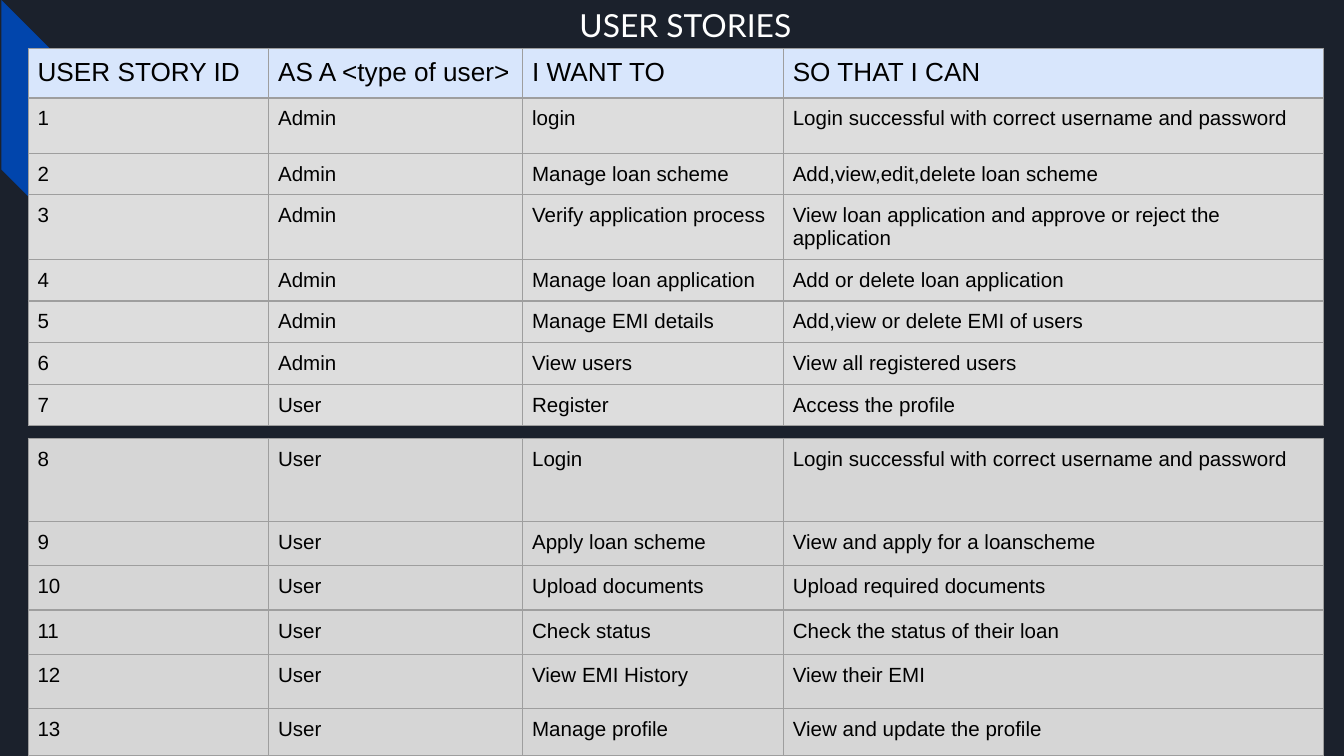
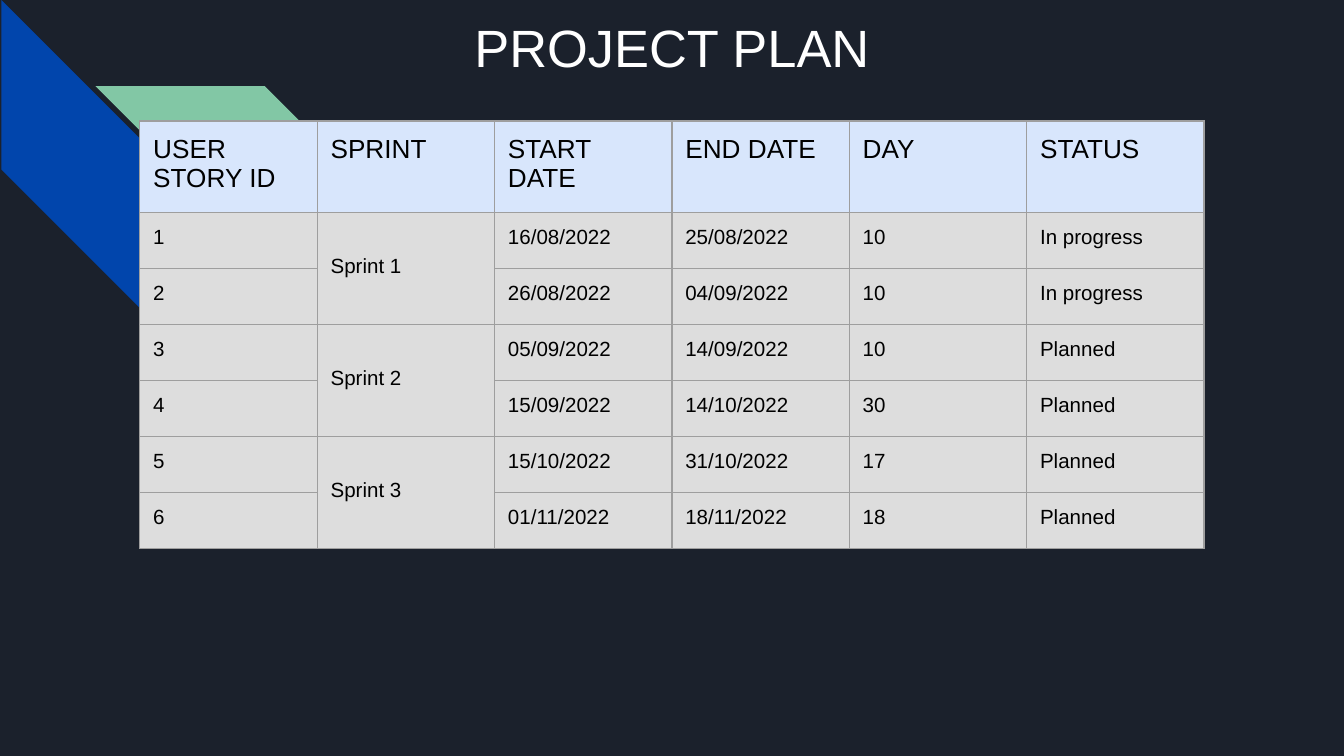
from pptx import Presentation
from pptx.dml.color import RGBColor as RGB
from pptx.enum.shapes import MSO_SHAPE as Kind
from pptx.enum.text import MSO_ANCHOR as Anchor, MSO_AUTO_SIZE as Fit, PP_ALIGN as Align
from pptx.oxml import parse_xml
from pptx.oxml.ns import nsdecls
from pptx.util import Inches, Pt

hues = {
    "night": "1B212C", "blue": "0145AC", "green": "82C7A5", "white": "FFFFFF",
    "black": "000000", "head": "D8E6FC", "light": "DDDDDD", "grey": "D6D6D6", "edge": "9E9E9E",
}


def add_title(slide, text, box, font, size, anchor):
    title = slide.shapes.title
    title.left, title.top, title.width, title.height = [Inches(v) for v in box]
    frame = title.text_frame
    frame.text = text
    frame.word_wrap = True
    frame.auto_size = Fit.NONE
    frame.vertical_anchor = anchor
    frame.margin_left = frame.margin_right = Inches(0.1)
    frame.margin_top = frame.margin_bottom = Inches(0.1)
    para = frame.paragraphs[0]
    para.alignment = Align.CENTER
    para.line_spacing = 0.8
    para.font.name = font
    para.font.size = Pt(size)
    para.font.color.rgb = RGB.from_string(hues["white"])
    return para


def add_grid(slide, left, top, cols, tall, rows, tone, pad, head):
    frame = slide.shapes.add_table(
        len(rows), len(cols), Inches(left), Inches(top), Inches(sum(cols)), Inches(sum(tall)))
    grid = frame.table
    grid.first_row = head
    grid.horz_banding = False
    for col, width in zip(grid.columns, cols):
        col.width = Inches(width)
    for r, (row, height) in enumerate(zip(rows, tall)):
        grid.rows[r].height = Inches(height)
        top_row = head and r == 0
        for c, text in enumerate(row):
            cell = grid.cell(r, c)
            cell.text = text
            cell.margin_left = cell.margin_right = Inches(pad)
            cell.margin_top = cell.margin_bottom = Inches(pad)
            props = cell._tc.get_or_add_tcPr()
            for side in ("lnL", "lnR", "lnT", "lnB"):
                props.append(parse_xml(
                    f'<a:{side} {nsdecls("a")} w="{Pt(0.75)}"><a:solidFill>'
                    f'<a:srgbClr val="{hues["edge"]}"/></a:solidFill></a:{side}>'))
            cell.fill.solid()
            cell.fill.fore_color.rgb = RGB.from_string(hues["head" if top_row else tone])
            font = cell.text_frame.paragraphs[0].font
            font.name = "Arial"
            font.size = Pt(14 if top_row else 11)
            font.bold = False
            font.color.rgb = RGB.from_string(hues["black"])
    return grid


deck = Presentation()
deck.slide_width = Inches(10)
deck.slide_height = Inches(10) * 9 // 16
master = deck.slide_master
master.background.fill.solid()
master.background.fill.fore_color.rgb = RGB.from_string(hues["night"])
layout = deck.slide_layouts[5]
tales = deck.slides.add_slide(layout)
plan = deck.slides.add_slide(layout)

for spot, (left, top, hue) in enumerate([(0.01, 0, "blue"), (0.71, 0.64, "green")]):
    stripe = tales.shapes.add_shape(
        Kind.DIAGONAL_STRIPE, Inches(left), Inches(top), Inches(2.52), Inches(2.52))
    stripe.shadow.inherit = False
    stripe.fill.solid()
    stripe.fill.fore_color.rgb = RGB.from_string(hues[hue])
    stripe.line.fill.background()
    if hue == "blue":
        stripe.rotation = 270
    else:
        stripe._element.spPr.xfrm.set("flipH", "1")
    master.shapes._spTree.insert(2 + spot, stripe._element)

para = add_title(tales, "USER STORIES", (0.38, 0, 9.32, 0.43), "Lato", 17, Anchor.TOP)
props = para._p.get_or_add_pPr()
props.set("marL", str(Inches(0.5)))
props.set("indent", str(Inches(-0.38)))

cols = [1.79, 1.89, 1.94, 4.02]
first = [
    ("USER STORY ID", "AS A <type of user>", "I WANT TO", "SO THAT I CAN"),
    ("1", "Admin", "login", "Login successful with correct username and password"),
    ("2", "Admin", "Manage loan scheme", "Add,view,edit,delete loan scheme"),
    ("3", "Admin", "Verify application process",
     "View loan application and approve or reject the application"),
    ("4", "Admin", "Manage loan application", "Add or delete loan application"),
    ("5", "Admin", "Manage EMI details", "Add,view or delete EMI of users"),
    ("6", "Admin", "View users", "View all registered users"),
    ("7", "User", "Register", "Access the profile"),
]
second = [
    ("8", "User", "Login", "Login successful with correct username and password"),
    ("9", "User", "Apply loan scheme", "View and apply for a loanscheme"),
    ("10", "User", "Upload documents", "Upload required documents"),
    ("11", "User", "Check status", "Check the status of their loan"),
    ("12", "User", "View EMI History", "View their EMI"),
]
third = [("13", "User", "Manage profile", "View and update the profile")]
for top, tall, rows, tone, head in [
    (0.36, [0.37, 0.41, 0.31, 0.46, 0.31, 0.3, 0.29, 0.25], first, "light", True),
    (3.26, [0.62, 0.33, 0.33, 0.33, 0.4], second, "grey", False),
    (5.27, [0.35], third, "grey", False),
]:
    add_grid(tales, 0.21, top, cols, tall, rows, tone, 0.07, head)

add_title(plan, "PROJECT PLAN", (0.34, 0.1, 9.32, 0.58), "Arial", 28.1, Anchor.MIDDLE)
dates = [
    ("USER STORY ID", "SPRINT", "START DATE", "END DATE", "DAY", "STATUS"),
    ("1", "Sprint 1", "16/08/2022", "25/08/2022", "10", "In progress"),
    ("2", "", "26/08/2022", "04/09/2022", "10", "In progress"),
    ("3", "Sprint 2", "05/09/2022", "14/09/2022", "10", "Planned"),
    ("4", "", "15/09/2022", "14/10/2022", "30", "Planned"),
    ("5", "Sprint 3", "15/10/2022", "31/10/2022", "17", "Planned"),
    ("6", "", "01/11/2022", "18/11/2022", "18", "Planned"),
]
grid = add_grid(plan, 1.04, 0.9, [1.32] * 6, [0.68] + [2.5 / 6] * 6, dates, "light", 0.1, True)
for r in (1, 3, 5):
    sprint = grid.cell(r, 1)
    sprint.merge(grid.cell(r + 1, 1))
    sprint.margin_top = Inches(0.32)

deck.save("out.pptx")
